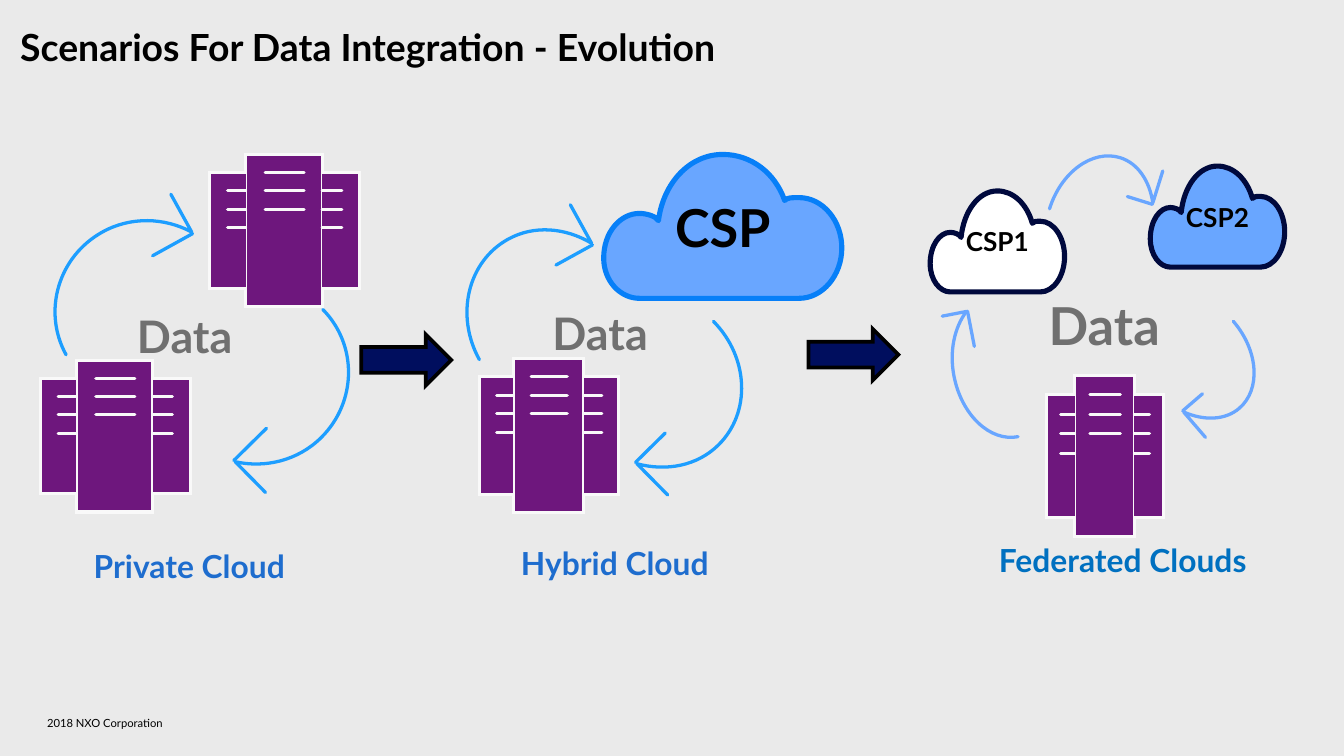
import math
from dataclasses import dataclass

import pptx
import pptx.dml.color
import pptx.enum.shapes
import pptx.enum.text
import pptx.oxml.ns
import pptx.util
from pptx.util import Cm

ALIGN = pptx.enum.text.PP_ALIGN
ANCHOR = pptx.enum.text.MSO_ANCHOR
FIT = pptx.enum.text.MSO_AUTO_SIZE
PRESET = pptx.enum.shapes.MSO_SHAPE
qn = pptx.oxml.ns.qn


@dataclass(frozen=True)
class Theme:
    font: str = "Lato"
    background: str = "EAEAEA"
    black: str = "000000"
    white: str = "FFFFFF"
    grey: str = "707070"
    caption: str = "1E6DCE"
    caption_federated: str = "0070C0"
    server: str = "6E177D"
    server_line: str = "F9F9F9"
    flow: str = "1D9EFF"
    sky: str = "69A6FF"
    cloud_line: str = "077FF8"
    navy: str = "00093D"
    arrow: str = "000E5E"
    title_size: int = 20
    caption_size: int = 17
    data_size: int = 24
    large_size: int = 28
    small_cloud_size: int = 14
    footer_size: int = 6
    server_width: float = 1.63
    flow_width: float = 1.75
    cloud_width: float = 2.75
    arrow_width: float = 2


THEME = Theme()

# Outlines in a unit square: a start, then a point (line) or three points (curve).
FLOW_ARC = [(0, 1), ((0, 0.45), (0.24, 0), (0.54, 0)),
            ((0.73, 0), (0.9, 0.19), (1, 0.48)), (1, 0)]
CLOUD = [(0.82, 0.3), ((0.79, 0.3), (0.77, 0.3), (0.76, 0.32)),
         ((0.72, 0.13), (0.62, 0), (0.5, 0)),
         ((0.36, 0), (0.25, 0.2), (0.23, 0.46)),
         ((0.22, 0.43), (0.18, 0.41), (0.15, 0.41)),
         ((0.07, 0.41), (0, 0.54), (0, 0.72)),
         ((0, 0.88), (0.07, 1), (0.15, 1)), (0.82, 1),
         ((0.92, 1), (1, 0.84), (1, 0.65)),
         ((1, 0.46), (0.92, 0.3), (0.82, 0.3))]
LEFT_WING = [(1, 0), (0, 0), (0, 1), (1, 1)]
RIGHT_WING = [(0, 0), (1, 0), (1, 1), (0, 1)]


def rgb(color):
    return pptx.dml.color.RGBColor.from_string(color)


def style(shape, fill, line, width):
    shape.shadow.inherit = False
    if fill:
        shape.fill.solid()
        shape.fill.fore_color.rgb = rgb(fill)
    else:
        shape.fill.background()
    shape.line.color.rgb = rgb(line)
    shape.line.width = pptx.util.Pt(width)


def round_ends(shape):
    shape._element.spPr.find(qn("a:ln")).set("cap", "rnd")


def sharpen_corners(shape):
    outline = shape._element.spPr.find(qn("a:ln"))
    outline.append(outline.makeelement(qn("a:miter"), {"lim": "800000"}))


def write(frame, text, size, color=THEME.black, bold=True, align=ALIGN.LEFT,
          anchor=ANCHOR.TOP, wrap=True, inset=None, spacing=None, fit=FIT.NONE):
    frame.word_wrap = wrap
    frame.auto_size = fit
    frame.vertical_anchor = anchor
    if inset is not None:
        frame.margin_left = frame.margin_right = Cm(inset)
        frame.margin_top = frame.margin_bottom = Cm(inset)
    para = frame.paragraphs[0]
    para.alignment = align
    para.line_spacing = spacing
    span = para.add_run()
    span.text = text
    span.font.name = THEME.font
    span.font.size = pptx.util.Pt(size)
    span.font.bold = bold
    span.font.color.rgb = rgb(color)


def add_text(shapes, area, text, size, **look):
    box = shapes.add_textbox(*map(Cm, area))
    write(box.text_frame, text, size, **look)


def add_line(shapes, start, end, color, width):
    line = shapes.add_connector(pptx.enum.shapes.MSO_CONNECTOR.STRAIGHT,
                                *map(Cm, (*start, *end)))
    line.line.color.rgb = rgb(color)
    line.line.width = pptx.util.Pt(width)
    round_ends(line)
    properties = line._element.spPr
    properties.append(properties.makeelement(qn("a:effectLst"), {}))


def bend(shape, outline):
    """Join the three line pieces drawn for each curve into one Bezier piece."""
    pieces = iter(list(shape._element.iter(qn("a:lnTo"))))
    for part in outline[1:]:
        first = next(pieces)
        if len(part) == 2:
            continue
        curve = first.makeelement(qn("a:cubicBezTo"), {})
        first.addprevious(curve)
        for piece in (first, next(pieces), next(pieces)):
            curve.append(piece[0])
            piece.getparent().remove(piece)


def add_outline(shapes, area, outline, fill, line, width, close=False):
    left, top, wide, high = area
    corners = [outline[0]]
    for part in outline[1:]:
        corners.extend([part] if len(part) == 2 else part)
    points = [(Cm(left + x * wide), Cm(top + y * high)) for x, y in corners]
    builder = shapes.build_freeform(*points[0])
    builder.add_line_segments(points[1:], close=close)
    shape = builder.convert_to_shape()
    bend(shape, outline)
    style(shape, fill, line, width)
    return shape


def add_server(shapes, area):
    """A tower with three slots, and a lower wing with three slots on each side."""
    left, top, wide, high = area
    look = (THEME.server, THEME.server_line, THEME.server_width)
    tower = shapes.add_shape(PRESET.RECTANGLE, Cm(left + 0.24 * wide), Cm(top),
                             Cm(0.51 * wide), Cm(high))
    style(tower, *look)
    sharpen_corners(tower)

    def add_slots(start, end, first_row):
        for row in reversed(range(first_row, first_row + 3)):
            y = top + 0.12 * row * high
            add_line(shapes, (left + start * wide, y), (left + end * wide, y), *look[1:])

    add_slots(0.37, 0.63, 1)
    for outline, start, end, inner, outer in ((RIGHT_WING, 0.75, 1, 0.75, 0.88),
                                              (LEFT_WING, 0, 0.24, 0.24, 0.12)):
        wing = (left + start * wide, top + 0.12 * high, (end - start) * wide, 0.76 * high)
        sharpen_corners(add_outline(shapes, wing, outline, *look))
        add_slots(inner, outer, 2)


def add_flow(shapes, area, angle, color):
    """A turned arc that carries one barb of its arrowhead; a line is the other."""
    left, top, wide, high = area
    arc = add_outline(shapes, area, FLOW_ARC, None, color, THEME.flow_width)
    arc.rotation = angle
    round_ends(arc)
    turn = math.radians(angle)
    tip, barb = [(left + wide / 2 + reach * wide * math.cos(turn),
                  top + high / 2 + reach * wide * math.sin(turn))
                 for reach in (0.5, 0.23)]
    add_line(shapes, tip, barb, color, THEME.flow_width)


def add_cloud(shapes, area, name, size, fill, line):
    cloud = add_outline(shapes, area, CLOUD, fill, line, THEME.cloud_width, close=True)
    write(cloud.text_frame, name, size, align=ALIGN.CENTER, anchor=ANCHOR.MIDDLE, inset=0)


def add_scenario(page, servers, clouds, flows, flow_color, data_area, data_size):
    shapes = page.shapes.add_group_shape().shapes
    for cloud in clouds:
        add_cloud(shapes, *cloud)
    for area in servers:
        add_server(shapes, area)
    for area, angle in flows:
        add_flow(shapes, area, angle, flow_color)
    add_text(shapes, data_area, "Data", data_size, color=THEME.grey, wrap=False,
             fit=FIT.SHAPE_TO_FIT_TEXT)


def add_title(page, area, text):
    title = page.shapes.title
    title.left, title.top, title.width, title.height = map(Cm, area)
    write(title.text_frame, text, THEME.title_size, inset=0, spacing=0.9)


def main():
    deck = pptx.Presentation()
    deck.slide_width, deck.slide_height = Cm(25.4), Cm(14.29)
    page = deck.slides.add_slide(deck.slide_layouts[5])
    page.background.fill.solid()
    page.background.fill.fore_color.rgb = rgb(THEME.background)
    add_title(page, (0.38, 0.56, 21.08, 0.79), "Scenarios For Data Integration - Evolution")

    for area, text, color in (
            ((0.86, 10.21, 5.44, 0.91), "Private Cloud", THEME.caption),
            ((7.82, 10.16, 7.75, 0.91), "Hybrid Cloud ", THEME.caption),
            ((18.31, 10.09, 5.82, 0.99), "Federated Clouds", THEME.caption_federated)):
        add_text(page.shapes, area, text, THEME.caption_size, color=color,
                 align=ALIGN.CENTER, fit=FIT.SHAPE_TO_FIT_TEXT)

    add_scenario(page, [(0.76, 6.81, 2.84, 2.87), (3.96, 2.92, 2.84, 2.87)], [],
                 [((0.64, 4.34, 3.2, 1.7), 331.1), ((3.96, 6.73, 3.2, 1.7), 135.4)],
                 THEME.flow, (2.34, 5.72, 2.41, 1.27), THEME.data_size)
    add_scenario(page, [(9.07, 6.77, 2.62, 2.92)],
                 [((11.41, 2.92, 4.5, 2.72), "CSP", THEME.large_size,
                   THEME.sky, THEME.cloud_line)],
                 [((8.46, 4.47, 2.92, 1.73), 331.1), ((11.59, 6.85, 2.92, 1.73), 135.4)],
                 THEME.flow, (10.19, 5.66, 2.46, 1.27), THEME.data_size)
    add_scenario(page, [(19.78, 7.1, 2.21, 3.05)],
                 [((17.58, 3.61, 2.54, 1.91), "CSP1", THEME.small_cloud_size,
                   THEME.white, THEME.navy),
                  ((21.74, 3.14, 2.54, 1.91), "CSP2", THEME.small_cloud_size,
                   THEME.sky, THEME.navy)],
                 [((17.27, 6.63, 2.51, 0.97), 259), ((22.13, 6.51, 1.83, 1.32), 139.3),
                  ((19.99, 2.93, 1.83, 1.32), 17.3)],
                 THEME.sky, (19.57, 5.41, 2.72, 1.45), THEME.large_size)

    add_text(page.shapes, (0.64, 13.41, 17.78, 0.38), "2018 NXO Corporation",
             THEME.footer_size, bold=False)
    for left, top in ((6.83, 6.32), (15.28, 6.22)):
        arrow = page.shapes.add_shape(PRESET.RIGHT_ARROW, *map(Cm, (left, top, 1.7, 0.97)))
        style(arrow, THEME.arrow, THEME.black, THEME.arrow_width)
        sharpen_corners(arrow)
    deck.save("out.pptx")


if __name__ == "__main__":
    main()
